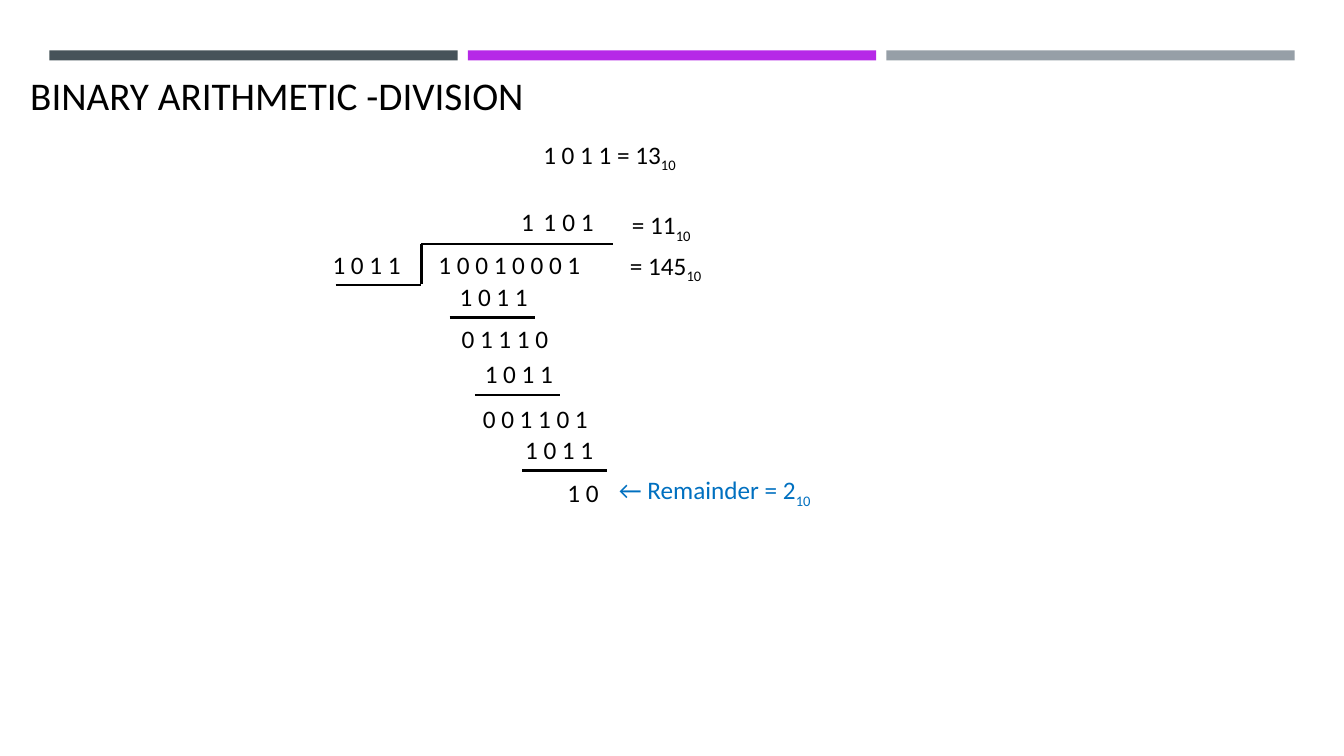
"""Build a slide that shows a binary long division step by step."""
from pptx import Presentation
from pptx.dml.color import RGBColor
from pptx.enum.shapes import MSO_CONNECTOR as Connector, MSO_SHAPE as Preset
from pptx.enum.text import MSO_ANCHOR as Anchor, MSO_AUTO_SIZE as AutoSize, PP_ALIGN as Align
from pptx.oxml.ns import qn
from pptx.util import Inches, Pt

BLACK = RGBColor(0x00, 0x00, 0x00)
WHITE = RGBColor(0xFF, 0xFF, 0xFF)
BLUE = RGBColor(0x00, 0x70, 0xC0)
SLATE = RGBColor(0x46, 0x53, 0x59)
PURPLE = RGBColor(0xB6, 0x29, 0xE7)
GREY = RGBColor(0x96, 0x9F, 0xA7)
FONT = "Calibri"
CELL = Inches(0.1)

deck = Presentation()
deck.slide_width, deck.slide_height = Inches(13.33), Inches(7.5)
page = deck.slides.add_slide(deck.slide_layouts[5])


def write(text, column, row, subscript="", width=None, color=BLACK, fill=None):
    """Place one line of text, sized by its digits unless a width is given."""
    columns = width or 1.3 + 2.1 * len(text.split())
    box = page.shapes.add_textbox(
        int(column * CELL), int(row * CELL), int(columns * CELL), 4 * CELL)
    if fill is not None:
        box.fill.solid()
        box.fill.fore_color.rgb = fill
    box.text_frame.word_wrap = False
    box.text_frame.auto_size = AutoSize.SHAPE_TO_FIT_TEXT
    para = box.text_frame.paragraphs[0]
    para.alignment = Align.LEFT
    for part in filter(None, (text, subscript)):
        span = para.add_run()
        span.text = part
        span.font.name, span.font.size = FONT, Pt(18)
        span.font.color.rgb = color
        if part == subscript:
            span.font._element.set("baseline", "-25000")


def rule(*ends):
    """Draw a black line between two grid points."""
    line = page.shapes.add_connector(Connector.STRAIGHT, *(int(end * CELL) for end in ends))
    line.line.color.rgb = BLACK
    line.line.width = Pt(1.75)
    line._element.spPr.append(line._element.makeelement(qn("a:effectLst"), {}))


for index, color in enumerate((SLATE, PURPLE, GREY)):
    bar = page.shapes.add_shape(
        Preset.RECTANGLE, int((4.9 + 41.5 * index) * CELL), 5 * CELL, int(40.5 * CELL), CELL)
    bar.shadow.inherit = False
    bar.fill.solid()
    bar.fill.fore_color.rgb = color
    bar.line.fill.background()

title = page.shapes.title
title.left, title.top, title.width, title.height = 0, 0, 130 * CELL, int(12.2 * CELL)
title.text_frame.word_wrap = True
title.text_frame.auto_size = AutoSize.NONE
title.text_frame.vertical_anchor = Anchor.BOTTOM
heading = title.text_frame.paragraphs[0]
heading.alignment = Align.LEFT
heading._p.get_or_add_pPr().set("marL", str(2 * CELL))
span = heading.add_run()
span.text = "BINARY ARITHMETIC -DIVISION"
span.font.name, span.font.size, span.font.bold = FONT, Pt(28), False
span.font.color.rgb = BLACK

write("1 0 1 1", 32, 24.2, fill=WHITE)
write("1 0 0 1 0 0 0 1", 42.5, 24.2)
for digits, column in (("1", 50.7), ("1", 52.9), ("0 1", 54.8)):
    write(digits, column, 20)

rule(33.3, 28.3, 41.8, 28.3)
rule(41.8, 24.2, 60.8, 24.2)
rule(41.8, 28.2, 41.8, 24.2)

steps = (
    (44.6, 27.4, 44.6, "0 1 1 1 0", 44.8, 31.6),
    (47.1, 35.1, 47.1, "0 0 1 1 0 1", 46.9, 39.5),
    (51.1, 42.6, 51.8, "1 0", 55.3, 46.9),
)
for column, row, start, difference, difference_column, difference_row in steps:
    write("1 0 1 1", column, row, fill=WHITE)
    write(difference, difference_column, difference_row, fill=WHITE)
    rule(start, row + 4.1, start + 8.45, row + 4.1)

write("1 0 1 1 = 13", 52.9, 13.3, "10", 17.3)
write("= 11", 61.7, 20.3, "10", 9)
write("= 145", 61.5, 24.3, "10", 10.4)
write("← Remainder = 2", 60.4, 46.6, "10", 22.2, BLUE)

deck.save("out.pptx")
